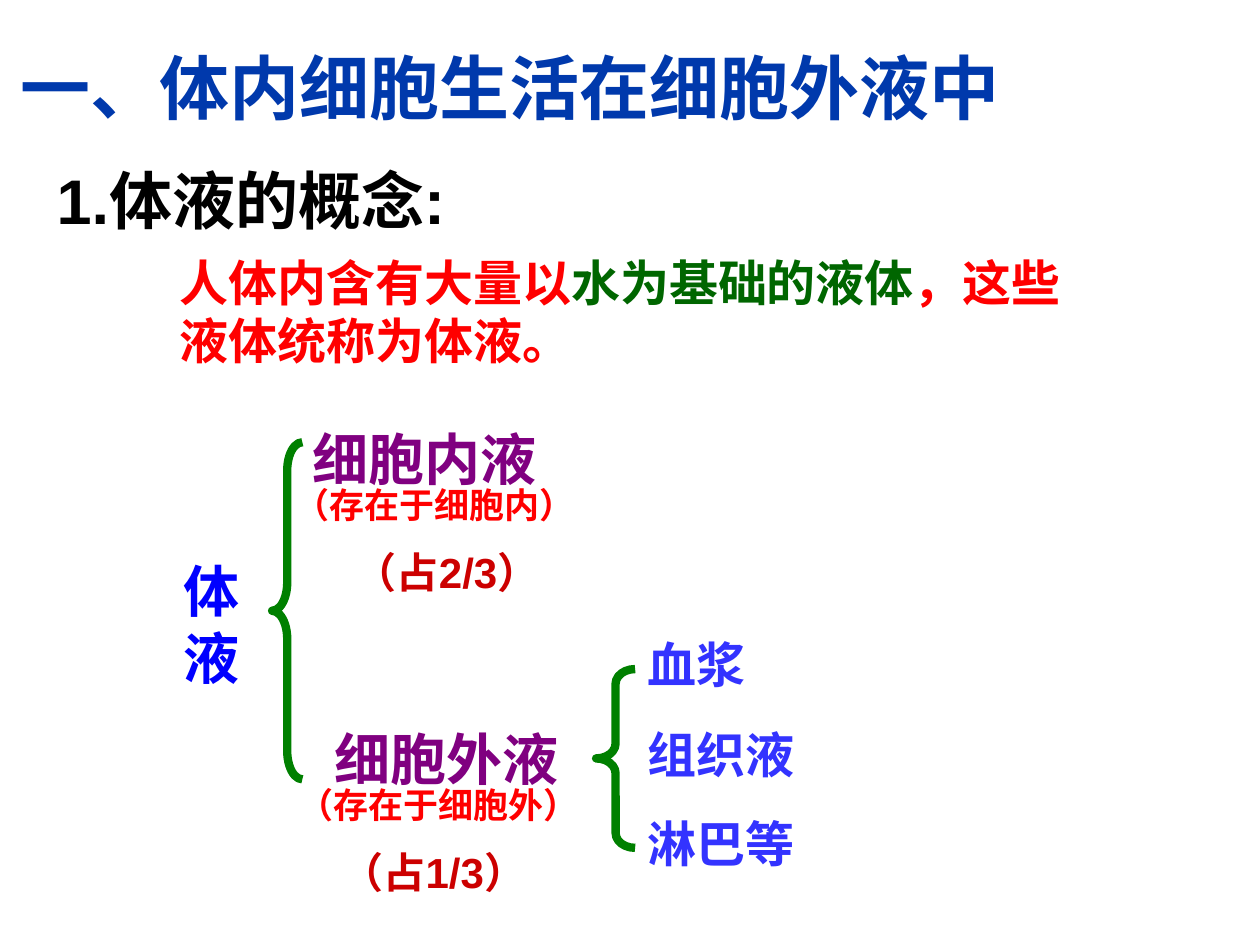
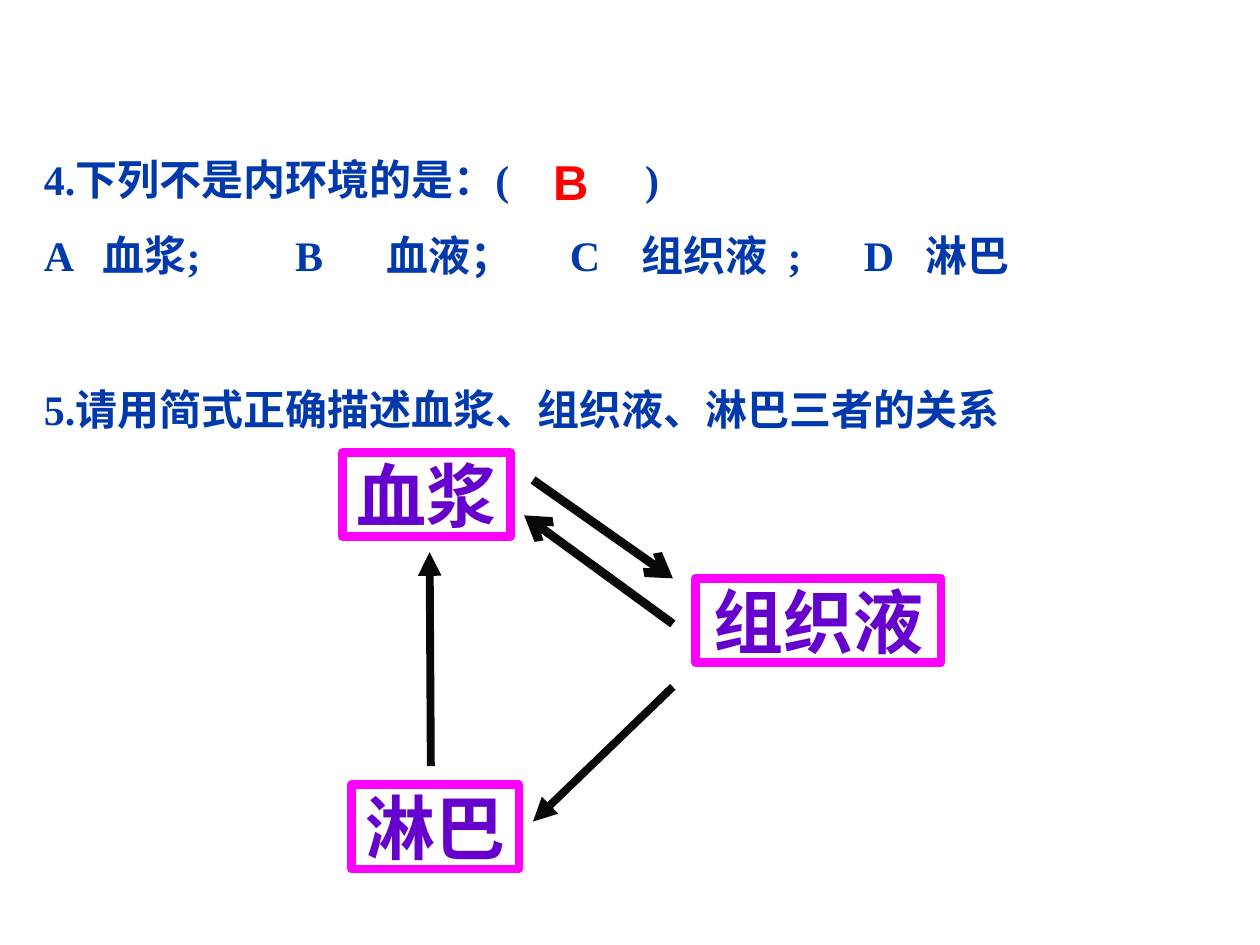
"""Build two biology slides on body fluids and the internal environment."""
from dataclasses import dataclass

from lxml.etree import SubElement
from pptx import Presentation
from pptx.dml.color import RGBColor
from pptx.enum.shapes import MSO_CONNECTOR, MSO_SHAPE
from pptx.enum.text import MSO_ANCHOR, PP_ALIGN
from pptx.oxml.ns import qn
from pptx.util import Pt


@dataclass(frozen=True)
class Theme:
    """Colours, fonts and type sizes shared by the slides."""
    heading: str = "0039AC"
    black: str = "000000"
    red: str = "FF0000"
    dark_red: str = "CC0000"
    dark_green: str = "006600"
    brace: str = "008000"
    root: str = "0000FF"
    compartment: str = "800080"
    component: str = "3333FF"
    node: str = "6600CC"
    frame: str = "FF00FF"
    arrow: str = "080808"
    cjk: str = "Noto Sans CJK SC"
    sans: str = "Arial"
    serif: str = "Times New Roman"
    title: int = 40
    subtitle: int = 36
    label: int = 32
    body: int = 28
    small: int = 24
    note: int = 20


T = Theme()


def rgb(value):
    """Turn a hex string into a colour."""
    return RGBColor.from_string(value)


def style_run(r, size, color, font):
    """Format one bold run, including its East Asian typeface."""
    r.font.size, r.font.bold, r.font.name = Pt(size), True, font
    r.font.color.rgb = rgb(color)
    SubElement(r._r.get_or_add_rPr(), qn("a:ea"), typeface=T.cjk)


def fill_text(tf, lines, size, color, font, gaps=()):
    """Write one paragraph per line, with gaps before the later ones."""
    tf.word_wrap = True
    tf.text = "\n".join(lines)
    for p, gap in zip(tf.paragraphs[1:], gaps):
        p.space_before = Pt(gap)
    for p in tf.paragraphs:
        for r in p.runs:
            style_run(r, size, color, font)


def add_text(slide, box, lines, size, color, font=T.sans, gaps=()):
    """Add a text box and return its text frame."""
    tf = slide.shapes.add_textbox(*map(Pt, box)).text_frame
    fill_text(tf, lines, size, color, font, gaps)
    return tf


def set_tabs(p, stops):
    """Give a paragraph left tab stops."""
    tabs = SubElement(p._p.get_or_add_pPr(), qn("a:tabLst"))
    for stop in stops:
        SubElement(tabs, qn("a:tab"), pos=str(int(Pt(stop))), algn="l")


def add_outline(slide, kind, box, color, width):
    """Add an unfilled preset shape."""
    sp = slide.shapes.add_shape(kind, *map(Pt, box))
    sp.shadow.inherit = False
    sp.fill.background()
    sp.line.color.rgb, sp.line.width = rgb(color), Pt(width)
    return sp


def add_brace(slide, box, curl):
    """Add a left brace with the given curl."""
    sp = add_outline(slide, MSO_SHAPE.LEFT_BRACE, box, T.brace, 4.75)
    sp.adjustments[0] = curl


def add_arrow(slide, start, end, width, head):
    """Add a straight arrow pointing at its end."""
    cxn = slide.shapes.add_connector(MSO_CONNECTOR.STRAIGHT, *map(Pt, start + end))
    cxn.line.color.rgb, cxn.line.width = rgb(T.arrow), Pt(width)
    SubElement(cxn.line._get_or_add_ln(), qn("a:tailEnd"), type=head)
    SubElement(cxn._element.spPr, qn("a:effectLst"))


def add_title(slide, box, text):
    """Place and format the title placeholder."""
    sp = slide.shapes.title
    sp.left, sp.top, sp.width, sp.height = map(Pt, box)
    tf = sp.text_frame
    fill_text(tf, [text], T.title, T.heading, T.cjk)
    tf.vertical_anchor = MSO_ANCHOR.TOP
    tf.paragraphs[0].alignment = PP_ALIGN.LEFT


def add_definition(slide, x, y):
    """Add the concept heading and its definition."""
    add_text(slide, (x, y, 400, 52), ["1.体液的概念:"], T.subtitle, T.black)
    tf = add_text(slide, (x + 70.5, y + 52, 520, 76), ["人体内含有大量以"],
                  T.body, T.red, T.cjk)
    for text, color in (("水为基础的液体", T.dark_green),
                        ("，这些液体统称为体液。", T.red)):
        r = tf.paragraphs[0].add_run()
        r.text = text
        style_run(r, T.body, color, T.cjk)


def add_fluid_tree(slide, x, y):
    """Add the braces that divide body fluid into its components."""
    add_text(slide, (x, y + 78.6, 50, 84), ["体", "液"], T.label, T.root, T.cjk)
    add_brace(slide, (x + 57.5, y + 16.7, 17.3, 192.6), 0.93)
    compartments = (
        (3, ("细胞内液", 73.6), ("（存在于细胞内）", 63.3), ("（占2/3）", 97.8)),
        (174.4, ("细胞外液", 86.2), ("（存在于细胞外）", 65.4), ("（占1/3）", 90.2)),
    )
    styles = ((0, T.label, T.compartment, T.cjk), (34, T.note, T.red, T.sans),
              (70, T.small, T.dark_red, T.sans))
    for top, *labels in compartments:
        for (text, left), (drop, size, color, font) in zip(labels, styles):
            add_text(slide, (x + left, y + top + drop, 180, size * 1.2 + 7.2),
                     [text], size, color, font)
    add_brace(slide, (x + 242.6, y + 146.3, 22.3, 102.2), 0.38)
    add_text(slide, (x + 265, y + 123.3, 127.5, 143), ["血浆", "组织液", "淋巴等"],
             T.body, T.component, gaps=(17.5, 17.5))


def add_questions(slide, x, y):
    """Add both questions and the answer to the first."""
    lines = ["4.下列不是内环境的是：(\t)",
             "A\t血浆;\tB\t血液；\tC\t组织液\t;\tD\t淋巴",
             "5.请用简式正确描述血浆、组织液、淋巴三者的关系"]
    tf = add_text(slide, (x, y, 672, 168), lines, T.small, T.heading, T.serif,
                  gaps=(15, 58.8))
    set_tabs(tf.paragraphs[0], [343.5])
    set_tabs(tf.paragraphs[1], [33.5, 143.5, 195.5, 300.5, 341.5, 425, 468.5, 504])
    add_text(slide, (x + 291, y - 1.2, 51, 41), ["B"], T.body, T.red)


def add_cycle(slide, x, y):
    """Add the three framed fluids and the arrows between them."""
    for text, left, top, width in (("血浆", 0, 0, 95.8), ("淋巴", 5, 190, 95.8),
                                   ("组织液", 201.6, 72, 140.4)):
        sp = add_outline(slide, MSO_SHAPE.RECTANGLE,
                         (x + left, y + top, width, 48.2), T.frame, 5)
        tf = sp.text_frame
        tf.margin_left = tf.margin_right = tf.margin_top = tf.margin_bottom = 0
        fill_text(tf, [text], T.title, T.node, T.cjk)
        tf.vertical_anchor = MSO_ANCHOR.TOP
        tf.paragraphs[0].alignment = PP_ALIGN.CENTER
    for x1, y1, x2, y2, width, head in (
            (108.8, 15.8, 188.7, 72, 5, "arrow"),
            (188.7, 98, 103.7, 36, 5, "arrow"),
            (188.7, 134, 108.8, 211, 4.5, "triangle"),
            (50.4, 179.3, 49.7, 57, 4.5, "triangle")):
        add_arrow(slide, (x + x1, y + y1), (x + x2, y + y2), width, head)


def main():
    """Build and save the presentation."""
    prs = Presentation()
    prs.slide_width, prs.slide_height = Pt(720), Pt(540)

    concept = prs.slides.add_slide(prs.slide_layouts[5])
    add_title(concept, (4.3, 21.6, 590, 55.4), "一、体内细胞生活在细胞外液中")
    add_definition(concept, 25.2, 88.5)
    add_fluid_tree(concept, 98, 236)

    exercise = prs.slides.add_slide(prs.slide_layouts[6])
    add_questions(exercise, 18, 84)
    add_cycle(exercise, 195.8, 258.5)

    prs.save("out.pptx")


if __name__ == "__main__":
    main()
